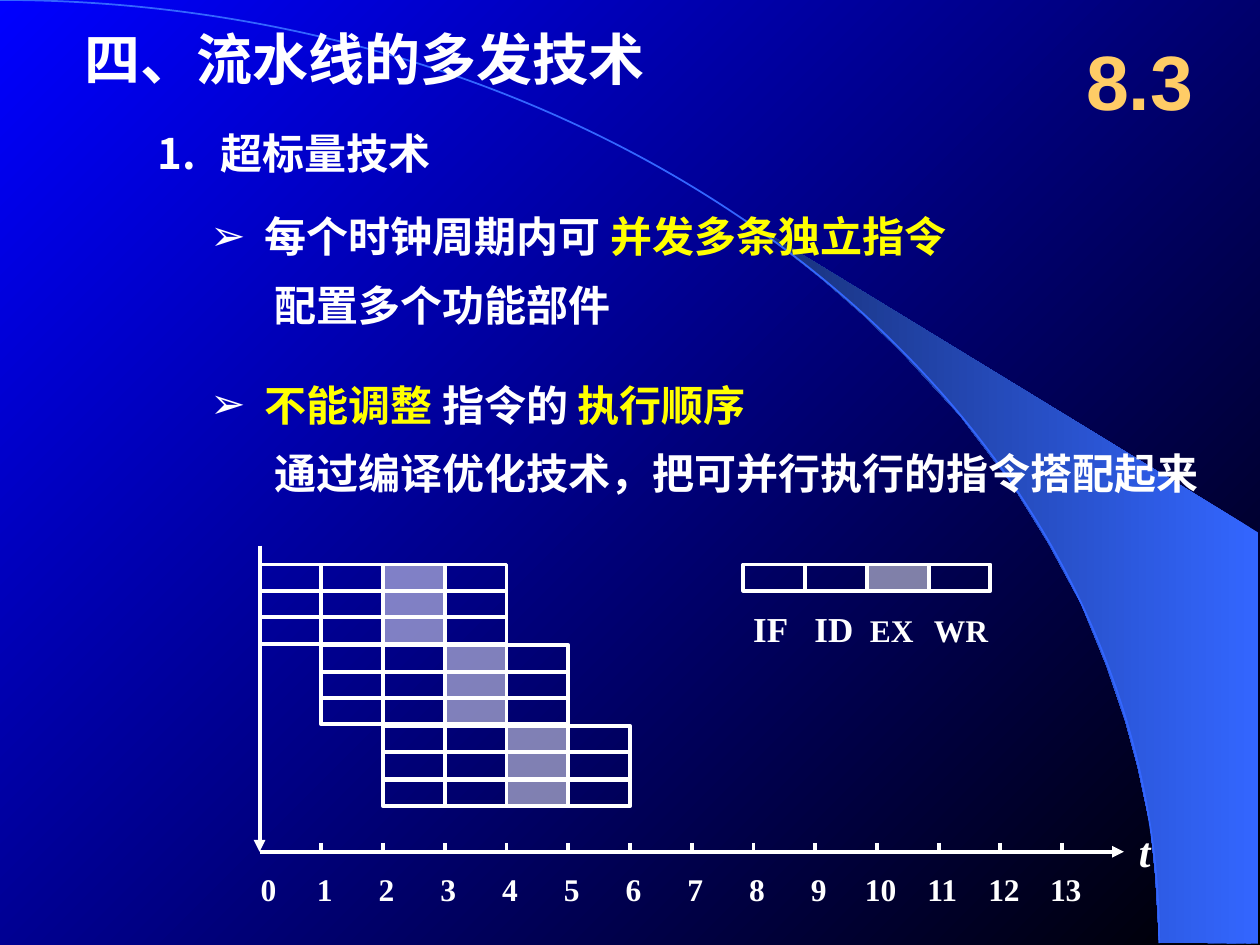
from pptx import Presentation
from pptx import util as u
from pptx.dml.color import RGBColor
from pptx.enum import shapes, text
from pptx.oxml.ns import qn
from lxml import etree

PX = 9144
WHITE = RGBColor(255, 255, 255)
BLACK = RGBColor(0, 0, 0)
BLUE = RGBColor(0, 0, 255)
SKY = RGBColor(0x33, 0x66, 0xFF)
NAVY = RGBColor(0x17, 0x2F, 0x75)
YELLOW = RGBColor(255, 255, 0)
GOLD = RGBColor(255, 0xCC, 0x66)
SERIF = "Times New Roman"
STEP, HIGH = 49, 21
CRESCENT = [
    (920, 748), (999, 749), (999, 423), (589, 173), (624, 199), (653, 222),
    (685, 250), (716, 280), (762, 330), (803, 384), (832, 431), (858, 479),
    (878, 528), (893, 572), (903, 609), (913, 656), (917, 696)]


def emu(*nums):
    return [n * PX for n in nums]


def shade(fill, first, last, angle):
    fill.gradient()
    fill.gradient_angle = angle
    for stop, color in zip(fill.gradient_stops, (first, last)):
        stop.color.rgb = color


def style(para, size, color=WHITE, face=SERIF):
    font = para.font
    font.size, font.bold, font.name = u.Pt(size), True, face
    font.color.rgb = color


def frame(shape, side=10, wrap=True, middle=False):
    body = shape.text_frame
    body.auto_size = text.MSO_AUTO_SIZE.NONE
    body.word_wrap = wrap
    body.margin_left = body.margin_right = side * PX
    body.margin_top = body.margin_bottom = 5 * PX
    body.vertical_anchor = text.MSO_ANCHOR.MIDDLE if middle else text.MSO_ANCHOR.TOP
    return body.paragraphs[0]


def label(slide, box, words, size=24, color=WHITE, face=SERIF, **opts):
    para = frame(slide.shapes.add_textbox(*emu(*box)), **opts)
    para.text = words
    style(para, size, color, face)
    return para


def hang(para, indent, kind, **attrs):
    props = para._p.get_or_add_pPr()
    props.set("marL", str(indent * PX))
    props.set("indent", str(-indent * PX))
    tint = etree.SubElement(props, qn("a:buClr"))
    etree.SubElement(tint, qn("a:srgbClr"), val=str(WHITE))
    etree.SubElement(props, qn("a:buFont"), typeface="Arial")
    etree.SubElement(props, qn(kind), **attrs)


def tabs(para, stops, align="ctr"):
    group = etree.SubElement(para._p.get_or_add_pPr(), qn("a:tabLst"))
    for stop in stops:
        etree.SubElement(group, qn("a:tab"), pos=str(stop * PX), algn=align)


def point(slide, box, indent, kind, parts, **attrs):
    para = frame(slide.shapes.add_textbox(*emu(*box)), side=0, wrap=False, middle=True)
    hang(para, indent, kind, **attrs)
    style(para, 24)
    for words, color in parts:
        run = para.add_run()
        run.text = words
        run.font.color.rgb = color


def line(slide, start, end, arrow=False):
    link = slide.shapes.add_connector(
        shapes.MSO_CONNECTOR.STRAIGHT, *emu(*start, *end))
    link.line.color.rgb = WHITE
    link.line.width = u.Pt(2.25)
    props = link.element.spPr
    if arrow:
        etree.SubElement(props.find(qn("a:ln")), qn("a:tailEnd"), type="triangle")
    etree.SubElement(props, qn("a:effectLst"))


def strip(slide, left, top):
    for col in range(4):
        cell = slide.shapes.add_shape(
            shapes.MSO_SHAPE.RECTANGLE, *emu(left + col * STEP, top, STEP, HIGH))
        cell.shadow.inherit = False
        if col == 2:
            cell.fill.solid()
            cell.fill.fore_color.rgb = WHITE
            tint = cell.element.spPr.find(".//" + qn("a:srgbClr"))
            etree.SubElement(tint, qn("a:alpha"), val="50000")
        else:
            cell.fill.background()
        cell.line.color.rgb = WHITE
        cell.line.width = u.Pt(2.25)


def scene(slide):
    shade(slide.background.fill, BLACK, BLUE, 135)
    pen = slide.shapes.build_freeform(*CRESCENT[0], scale=PX)
    pen.add_line_segments(CRESCENT[1:], close=True)
    moon = pen.convert_to_shape()
    moon.shadow.inherit = False
    shade(moon.fill, SKY, NAVY, 180)
    moon.line.fill.background()
    arc = slide.shapes.add_shape(shapes.MSO_SHAPE.ARC, *emu(-920, 0, 1840, 1497))
    arc.shadow.inherit = False
    arc.fill.background()
    arc.line.color.rgb = SKY
    arc.line.width = u.Pt(1)


def heading(slide, box):
    title = slide.shapes.title
    slide.shapes.element.append(title.element)
    title.left, title.top, title.width, title.height = emu(*box)
    para = frame(title, side=0, wrap=False, middle=True)
    para.text = "四、流水线的多发技术"
    para.alignment = text.PP_ALIGN.LEFT
    style(para, 32)


def points(slide, left, top):
    point(slide, (left, top, 258, 58), 50, "a:buAutoNum",
          [("超标量技术", WHITE)], type="arabicPeriod")
    point(slide, (left + 42, top + 66, 658, 58), 43, "a:buChar",
          [("每个时钟周期内可 ", WHITE), ("并发多条独立指令", YELLOW)], char="➢")
    label(slide, (left + 83, top + 125, 600, 50), "配置多个功能部件")
    point(slide, (left + 42, top + 200, 492, 58), 43, "a:buChar",
          [("不能调整 ", YELLOW), ("指令的 ", WHITE), ("执行顺序", YELLOW)], char="➢")
    label(slide, (left + 83, top + 258, 808, 50),
          "通过编译优化技术，把可并行执行的指令搭配起来")


def legend(slide, left, top):
    strip(slide, left, top)
    para = frame(slide.shapes.add_textbox(*emu(left - 2, top + 29, 207, 44)))
    tabs(para, (64, 110, 165))
    style(para, 20)
    for words, size in (("IF\tID\t", 20), ("EX\tWR", 18)):
        run = para.add_run()
        run.text = words
        run.font.size = u.Pt(size)


def chart(slide, left, top, width, height):
    base = top + height
    for row in range(9):
        strip(slide, left + row // 3 * STEP, top + 15 + row * 171 // 8)
    line(slide, (left, top), (left, base), arrow=True)
    line(slide, (left, base), (left + width, base), arrow=True)
    for tick in range(1, 14):
        line(slide, (left + tick * STEP, base - 7), (left + tick * STEP, base))
    para = frame(slide.shapes.add_textbox(*emu(left - 9, base + 10, 753, 40)))
    tabs(para, [2 + tick * STEP for tick in range(1, 14)])
    para.add_run().text = "\t".join(str(tick) for tick in range(14))
    style(para, 18)
    label(slide, (left + width + 2, base - 26, 29, 50), "t", wrap=False).font.italic = True


def main():
    deck = Presentation()
    deck.slide_width, deck.slide_height = emu(1000, 750)
    slide = deck.slides.add_slide(deck.slide_layouts[5])
    scene(slide)
    heading(slide, (67, 17, 590, 58))
    points(slide, 125, 92)
    chart(slide, 206, 433, 686, 243)
    legend(slide, 590, 448)
    mark = label(slide, (842, 17, 125, 92), "8.3", 44, GOLD, "Arial", middle=True)
    mark.alignment = text.PP_ALIGN.CENTER
    deck.save("out.pptx")


if __name__ == "__main__":
    main()
